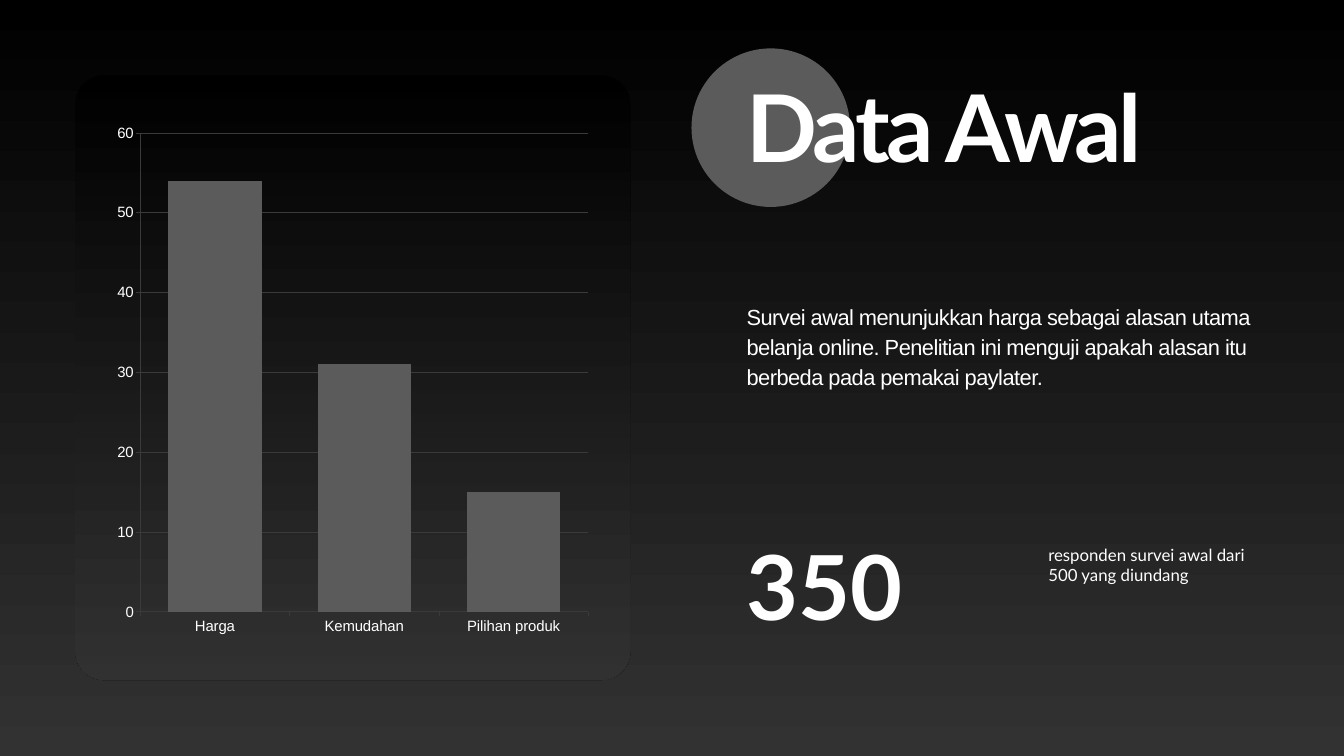
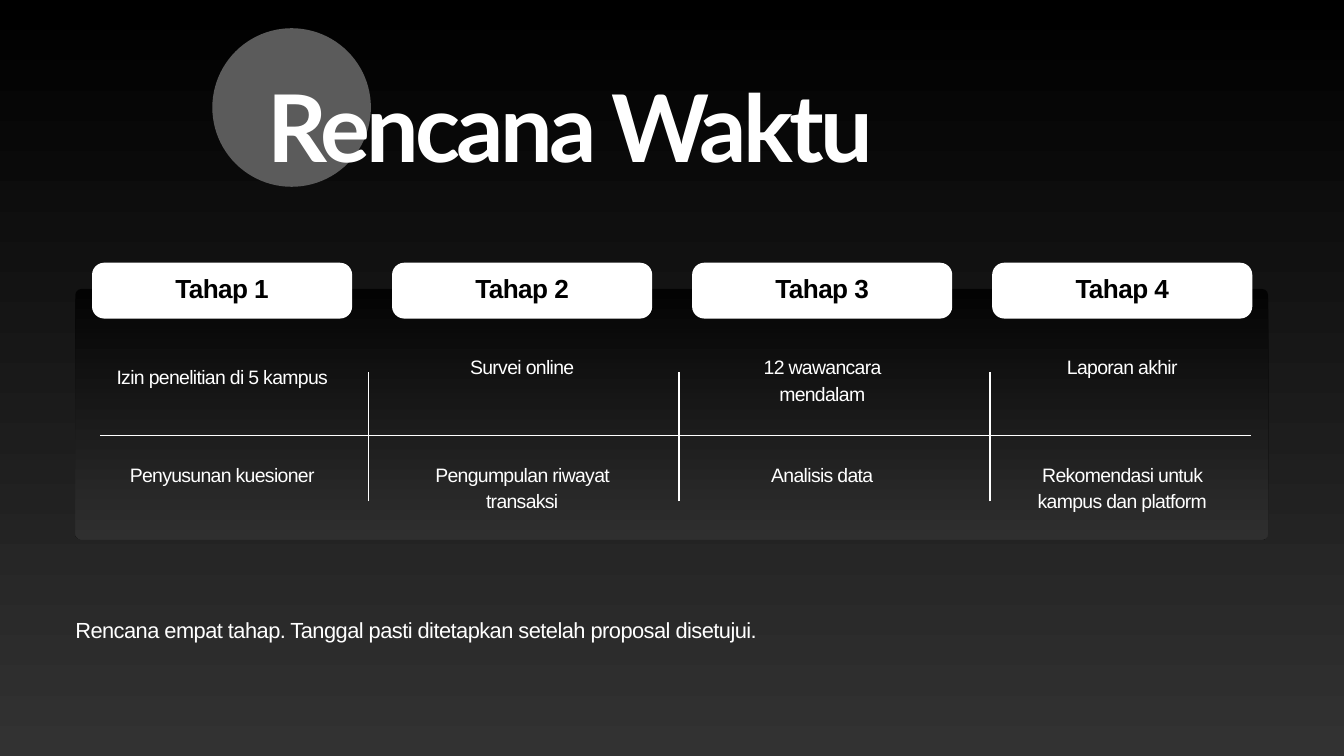
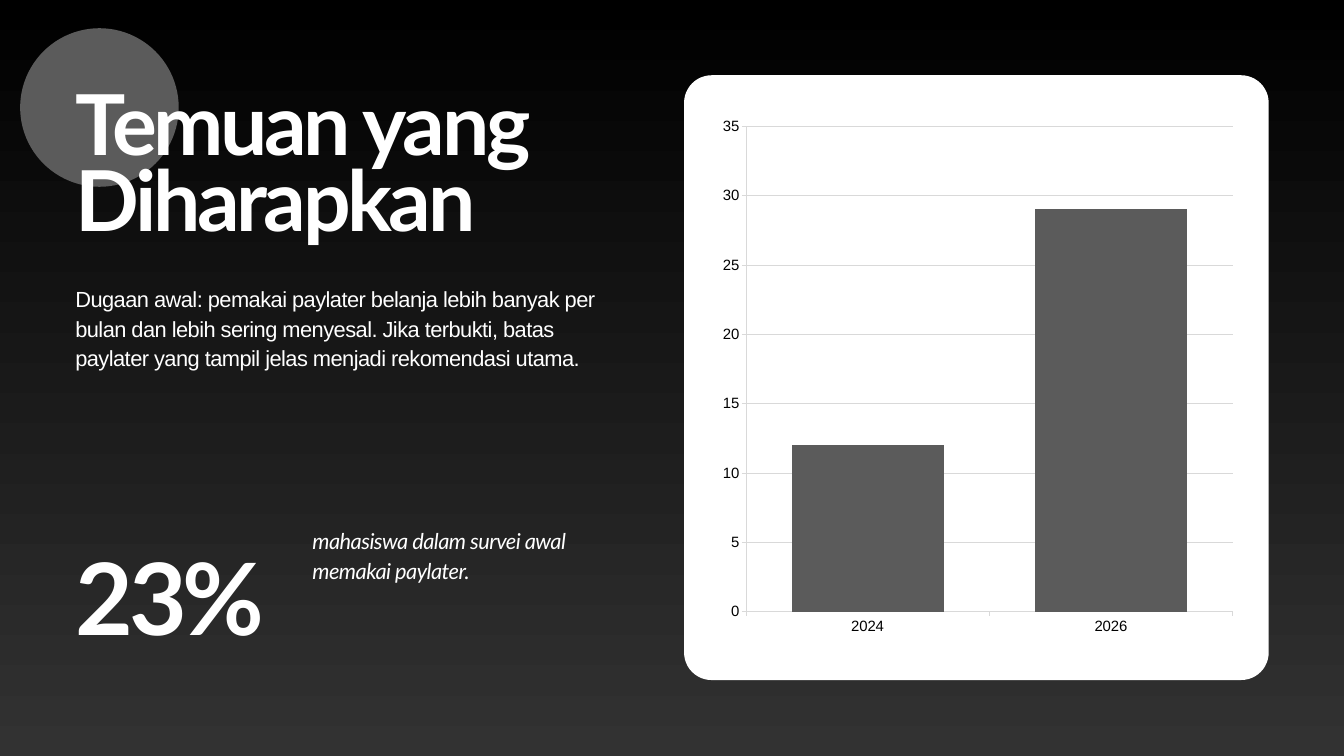
from dataclasses import dataclass

from lxml import etree
from pptx import Presentation
from pptx import util as u
from pptx.chart.data import CategoryChartData
from pptx.dml.color import RGBColor
from pptx.enum import chart, shapes, text
from pptx.oxml.ns import qn

BLACK = RGBColor(0x00, 0x00, 0x00)
CHARCOAL = RGBColor(0x32, 0x32, 0x32)
GREY = RGBColor(0x5B, 0x5B, 0x5B)
DARK_GRID = RGBColor(0x3A, 0x3A, 0x3A)
LIGHT_GRID = RGBColor(0xD9, 0xD9, 0xD9)
WHITE = RGBColor(0xFF, 0xFF, 0xFF)
DISPLAY, PLAIN = "Lato", "Arial"
LEFT, CENTER = text.PP_ALIGN.LEFT, text.PP_ALIGN.CENTER
TOP, MIDDLE = text.MSO_ANCHOR.TOP, text.MSO_ANCHOR.MIDDLE


@dataclass(frozen=True)
class Place:
    left: float
    top: float
    width: float
    height: float

    def lengths(self) -> list:
        return [u.Inches(n) for n in (self.left, self.top, self.width, self.height)]


@dataclass(frozen=True)
class Stage:
    name: str
    upper: str
    lower: str
    width: float
    upper_top: float = 5.24


STAGES = [
    Stage("Tahap 1", "Izin penelitian di 5 kampus", "Penyusunan kuesioner", 3.5, 5.39),
    Stage("Tahap 2", "Survei online", "Pengumpulan riwayat transaksi", 3.44),
    Stage("Tahap 3", "12 wawancara mendalam", "Analisis data", 3.02),
    Stage("Tahap 4", "Laporan akhir", "Rekomendasi untuk kampus dan platform", 3.37),
]


# Text
def write(box, words: str, *, size: float, face: str = PLAIN, color: RGBColor = WHITE,
          bold: bool = False, italic: bool = False, tracking: float = 0,
          leading: float = 0, align=LEFT, anchor=TOP) -> None:
    frame = box.text_frame
    frame.word_wrap = True
    frame.auto_size = text.MSO_AUTO_SIZE.NONE
    frame.vertical_anchor = anchor
    frame.margin_left = frame.margin_right = frame.margin_top = frame.margin_bottom = 0
    para = frame.paragraphs[0]
    if box.is_placeholder:
        properties = para._p.get_or_add_pPr()
        properties.set("marL", "0")
        properties.set("indent", "0")
        etree.SubElement(properties, qn("a:buNone"))
    para.alignment = align
    para.space_before = u.Pt(0)
    if leading:
        para.line_spacing = u.Pt(leading)
    span = para.add_run()
    span.text = words
    font = span.font
    font.name, font.size, font.bold, font.italic = face, u.Pt(size), bold, italic
    font.color.rgb = color
    if tracking:
        span._r.get_or_add_rPr().set("spc", str(round(tracking * 100)))


def add_text(page, place: Place, words: str, **style) -> None:
    write(page.shapes.add_textbox(*place.lengths()), words, **style)


# Shapes
def paint_gradient(fill) -> None:
    fill.gradient()
    fill.gradient_angle = 270
    for stop, color in zip(fill.gradient_stops, (BLACK, CHARCOAL)):
        stop.color.rgb = color


def add_panel(page, place: Place, radius: float, color: RGBColor | None = None):
    """Rounded panel: a solid colour, or a see-through dark gradient."""
    panel = page.shapes.add_shape(shapes.MSO_SHAPE.ROUNDED_RECTANGLE, *place.lengths())
    panel.adjustments[0] = radius / min(place.width, place.height)
    panel.shadow.inherit = False
    panel.line.fill.background()
    if color is not None:
        panel.fill.solid()
        panel.fill.fore_color.rgb = color
    else:
        paint_gradient(panel.fill)
        for tint in panel.element.iter(qn("a:srgbClr")):
            etree.SubElement(tint, qn("a:alpha"), val="80000")
    return panel


def add_rule(page, x1: float, y1: float, x2: float, y2: float) -> None:
    rule = page.shapes.add_connector(
        shapes.MSO_CONNECTOR.STRAIGHT, *(u.Inches(n) for n in (x1, y1, x2, y2)))
    rule.line.color.rgb = WHITE
    rule.line.width = u.Pt(1.5)
    etree.SubElement(rule.element.spPr, qn("a:effectLst"))


def add_columns(page, place: Place, values: dict[str, int],
                ink: RGBColor, grid: RGBColor) -> None:
    data = CategoryChartData()
    data.categories = list(values)
    data.add_series("Series 1", list(values.values()))
    columns = page.shapes.add_chart(
        chart.XL_CHART_TYPE.COLUMN_CLUSTERED, *place.lengths(), data).chart
    columns.has_legend = columns.has_title = False
    columns.font.name, columns.font.size = PLAIN, u.Pt(18)
    columns.font.color.rgb = ink
    plot = columns.plots[0]
    plot.gap_width, plot.overlap, plot.vary_by_categories = 60, -10, False
    bars = plot.series[0].format.fill
    bars.solid()
    bars.fore_color.rgb = GREY
    columns.value_axis.has_major_gridlines = True
    lines = [columns.value_axis.major_gridlines.format.line]
    for axis in (columns.category_axis, columns.value_axis):
        labels = axis.tick_labels.font
        labels.name, labels.size = PLAIN, u.Pt(16)
        labels.color.rgb = ink
        axis.major_tick_mark = chart.XL_TICK_MARK.OUTSIDE
        lines.append(axis.format.line)
    for line in lines:
        line.color.rgb = grid
        line.width = u.Pt(0.75)


# Shared slide frame
def add_page(deck, title: str, title_place: Place, body: str, body_place: Place,
             size: float = 100, circle_top: float = 0.42):
    """Slide with a title over a grey circle, and one body paragraph."""
    page = deck.slides.add_slide(deck.slide_layouts[1])
    heading, paragraph = page.shapes.title, page.placeholders[1]
    for box, place in ((heading, title_place), (paragraph, body_place)):
        box.left, box.top, box.width, box.height = place.lengths()
    write(heading, title, size=size, face=DISPLAY, bold=True,
          tracking=-0.04 * size, leading=0.9 * size)
    write(paragraph, body, size=23.4, tracking=-0.6, leading=31.8)

    circle_place = Place(title_place.left - 0.82, circle_top, 2.36, 2.36)
    circle = page.shapes.add_shape(shapes.MSO_SHAPE.OVAL, *circle_place.lengths())
    circle.shadow.inherit = False
    circle.fill.solid()
    circle.fill.fore_color.rgb = GREY
    circle.line.fill.background()
    heading.element.addprevious(circle.element)
    return page


# Slides
def build_first_data(deck) -> None:
    page = add_page(
        deck, "Data Awal", Place(11.11, 1.44, 7.77, 1.25),
        "Survei awal menunjukkan harga sebagai alasan utama belanja online. "
        "Penelitian ini menguji apakah alasan itu berbeda pada pemakai paylater.",
        Place(11.11, 4.47, 7.77, 2.32), circle_top=0.72)
    add_panel(page, Place(1.12, 1.12, 8.26, 9), 0.43)
    add_columns(page, Place(1.6, 1.7, 7.3, 7.9),
                {"Harga": 54, "Kemudahan": 31, "Pilihan produk": 15}, WHITE, DARK_GRID)
    add_text(page, Place(11.11, 7.9, 4.4, 1.6), "350", size=96, face=DISPLAY, bold=True)
    add_text(page, Place(15.6, 8.1, 3.3, 1.6),
             "responden survei awal dari 500 yang diundang", size=18, face=DISPLAY)


def build_timeline(deck) -> None:
    page = add_page(
        deck, "Rencana Waktu", Place(3.98, 1.44, 12.85, 1.25),
        "Rencana empat tahap. Tanggal pasti ditetapkan setelah proposal disetujui.",
        Place(1.12, 9.13, 17.75, 0.99))
    add_panel(page, Place(1.12, 4.3, 17.75, 3.73), 0.09)

    tab_width, tab_pitch = 3.85, 4.465
    for index, stage in enumerate(STAGES):
        left = 1.38 + index * tab_pitch
        tab = add_panel(page, Place(left, 3.92, tab_width, 0.81), 0.17, WHITE)
        tab.line.color.rgb = WHITE
        tab.line.width = u.Pt(1.5)
        write(tab, stage.name, size=28, color=BLACK, bold=True, tracking=-0.6,
              leading=27.2, align=CENTER, anchor=MIDDLE)
        task_left = left + (tab_width - stage.width) / 2
        for task, top in ((stage.upper, stage.upper_top), (stage.lower, 6.84)):
            add_text(page, Place(task_left, top, stage.width, 0.9), task, size=20.8,
                     tracking=-0.7, leading=28.5, align=CENTER)

    add_rule(page, 1.49, 6.48, 18.62, 6.48)
    for index in range(len(STAGES) - 1):
        x = 5.48 + index * 4.625
        add_rule(page, x, 7.46, x, 5.53)


def build_findings(deck) -> None:
    page = add_page(
        deck, "Temuan yang Diharapkan", Place(1.12, 1.44, 8.31, 2.25),
        "Dugaan awal: pemakai paylater belanja lebih banyak per bulan dan lebih sering "
        "menyesal. Jika terbukti, batas paylater yang tampil jelas menjadi rekomendasi utama.",
        Place(1.12, 4.2, 7.77, 2.32), size=90)
    add_text(page, Place(4.65, 7.8, 4.24, 2.32),
             "mahasiswa dalam survei awal memakai paylater.",
             size=23.4, face=DISPLAY, italic=True, tracking=-0.6, leading=31.8)
    add_text(page, Place(1.12, 8.42, 3.6, 1.45), "23%", size=106.9, face=DISPLAY,
             bold=True, tracking=-4.3, leading=96.2)
    add_panel(page, Place(10.18, 1.12, 8.7, 9), 0.41, WHITE)
    add_columns(page, Place(10.6, 1.6, 7.9, 8), {"2024": 12, "2026": 29}, BLACK, LIGHT_GRID)


def main() -> None:
    deck = Presentation()
    deck.slide_width, deck.slide_height = u.Inches(20), u.Inches(11.25)
    paint_gradient(deck.slide_master.background.fill)
    build_first_data(deck)
    build_timeline(deck)
    build_findings(deck)
    deck.save("out.pptx")


if __name__ == "__main__":
    main()
